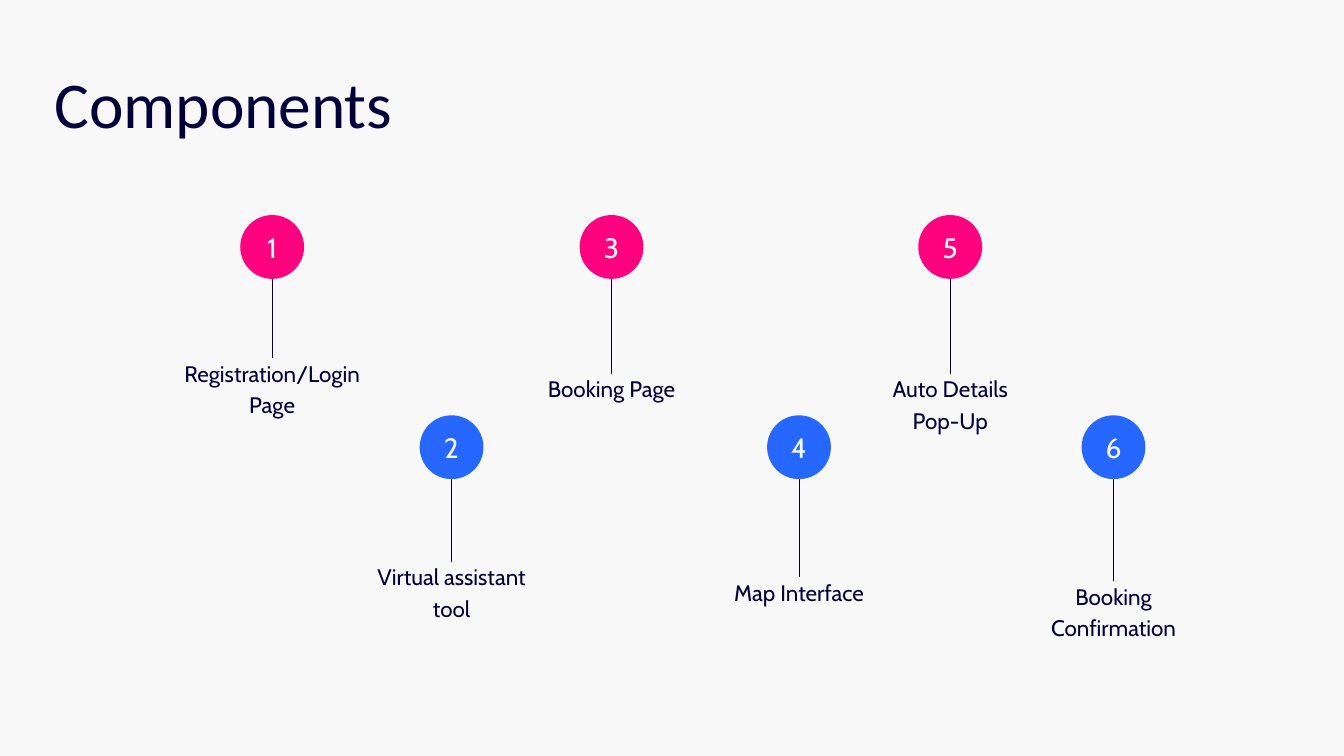
from dataclasses import dataclass

from lxml import etree
from pptx import Presentation
from pptx.dml.color import RGBColor
from pptx.enum.shapes import MSO_CONNECTOR, MSO_SHAPE
from pptx.enum.text import MSO_ANCHOR, MSO_AUTO_SIZE, PP_ALIGN
from pptx.oxml.ns import qn
from pptx.util import Inches, Pt

OVAL = MSO_SHAPE.OVAL
STRAIGHT = MSO_CONNECTOR.STRAIGHT
TOP, MIDDLE = MSO_ANCHOR.TOP, MSO_ANCHOR.MIDDLE
LEFT, CENTER = PP_ALIGN.LEFT, PP_ALIGN.CENTER
NO_AUTOFIT = MSO_AUTO_SIZE.NONE

COLORS = {"background": "F8F8F8", "navy": "01003B", "pink": "FF007E", "blue": "2667FF"}
BODY_FONT, TITLE_FONT = "Cabin", "Calibri"
DIAMETER = 0.95
UPPER_Y, LOWER_Y = 3.2, 6.18
LINE_OVERLAP = 0.04  # how far a stem reaches into its label box


@dataclass
class Component:
    text: str
    center_x: float
    label_y: float
    label_width: float = 2.38
    label_height: float = 0.89


COMPONENTS = [
    Component("Registration/Login Page", 4.05, 5.29, label_width=2.96),
    Component("Virtual assistant tool", 6.72, 8.32),
    Component("Booking Page", 9.1, 5.52, label_height=0.43),
    Component("Map Interface", 11.89, 8.55, label_height=0.43),
    Component("Auto Details Pop-Up", 14.14, 5.52),
    Component("Booking Confirmation", 16.57, 8.61),
]


def rgb(name: str) -> RGBColor:
    return RGBColor.from_string(COLORS[name])


def write(sp, text: str, size: float, spacing: float, color: str,
          font: str = BODY_FONT, align=CENTER, anchor=TOP) -> None:
    """Put one formatted run into a shape without insets."""
    tf = sp.text_frame
    tf.auto_size = NO_AUTOFIT
    tf.word_wrap = True
    tf.vertical_anchor = anchor
    tf.margin_left = tf.margin_right = tf.margin_top = tf.margin_bottom = 0
    p = tf.paragraphs[0]
    p.alignment = align
    p.line_spacing = Pt(spacing)
    p.space_before = Pt(0)
    r = p.add_run()
    r.text = text
    r.font.name = font
    r.font.size = Pt(size)
    r.font.color.rgb = rgb(color)


def add_badge(s, number: int, center_x: float, y: float, color: str) -> None:
    sp = s.shapes.add_shape(OVAL, Inches(center_x - DIAMETER / 2), Inches(y),
                            Inches(DIAMETER), Inches(DIAMETER))
    sp.shadow.inherit = False
    sp.fill.solid()
    sp.fill.fore_color.rgb = rgb(color)
    sp.line.fill.background()
    write(sp, str(number), 30, 42, "background", anchor=MIDDLE)
    sp.text_frame.margin_bottom = Inches(0.07)


def add_stem(s, x: float, top: float, bottom: float) -> None:
    line = s.shapes.add_connector(STRAIGHT, Inches(x), Inches(top), Inches(x), Inches(bottom))
    line.line.color.rgb = rgb("navy")
    line.line.width = Pt(1)
    etree.SubElement(line._element.spPr, qn("a:effectLst"))


def add_component(s, number: int, c: Component) -> None:
    """Odd numbers sit in the upper pink row, even ones in the lower blue row."""
    y, color = (UPPER_Y, "pink") if number % 2 else (LOWER_Y, "blue")
    add_badge(s, number, c.center_x, y, color)
    add_stem(s, c.center_x, y + DIAMETER, c.label_y + LINE_OVERLAP)
    label = s.shapes.add_textbox(Inches(c.center_x - c.label_width / 2), Inches(c.label_y),
                                 Inches(c.label_width), Inches(c.label_height))
    write(label, c.text, 24, 33.6, "navy")


def main() -> None:
    prs = Presentation()
    prs.slide_width, prs.slide_height = Inches(20), Inches(11.25)
    s = prs.slides.add_slide(prs.slide_layouts[5])

    # Background
    s.background.fill.solid()
    s.background.fill.fore_color.rgb = rgb("background")

    # Title
    title = s.shapes.title
    title.left, title.top = Inches(0.81), Inches(0.94)
    title.width, title.height = Inches(5.93), Inches(1.18)
    write(title, "Components", 70, 84, "navy", font=TITLE_FONT, align=LEFT)

    # Numbered components
    for number, component in enumerate(COMPONENTS, start=1):
        add_component(s, number, component)

    prs.save("out.pptx")


if __name__ == "__main__":
    main()
